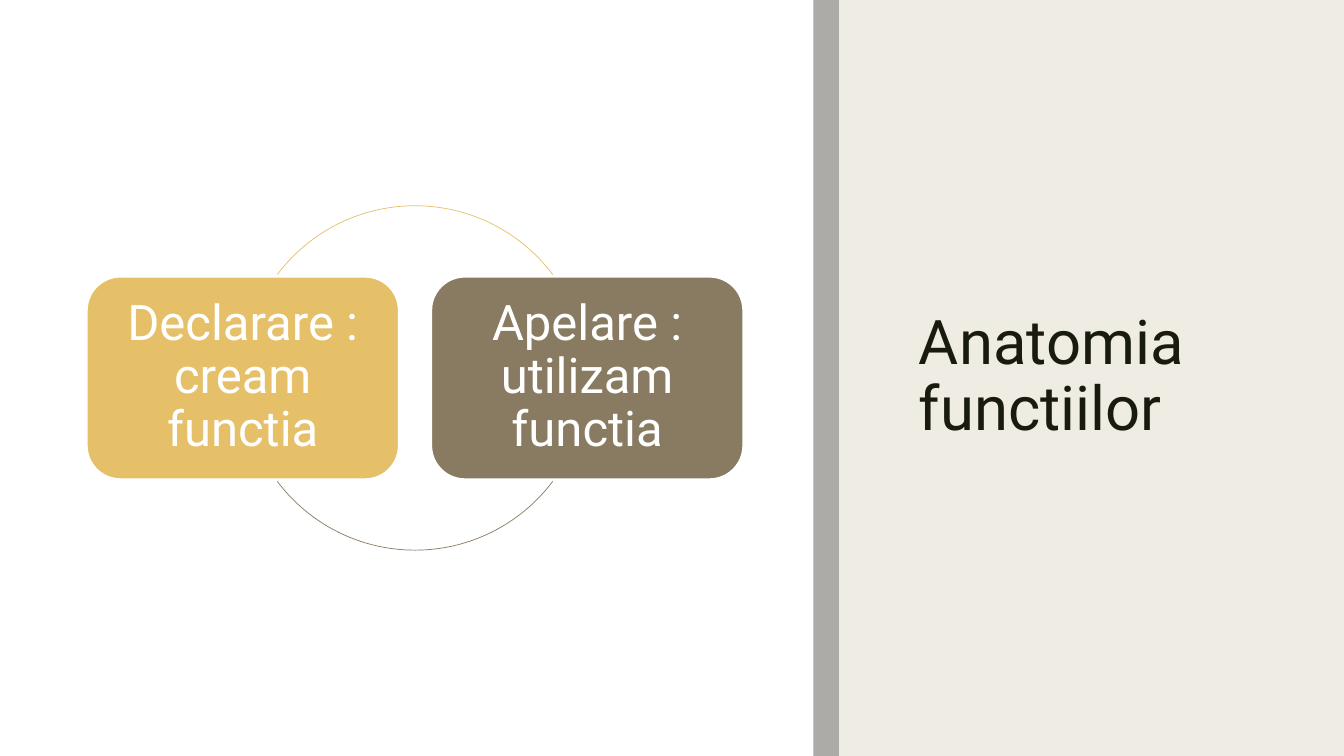
from dataclasses import dataclass

from lxml import etree
from pptx import Presentation
from pptx.dml.color import RGBColor
from pptx.enum.shapes import MSO_SHAPE
from pptx.enum.text import MSO_ANCHOR, PP_ALIGN
from pptx.oxml.ns import qn
from pptx.shapes.autoshape import Shape
from pptx.shapes.shapetree import SlideShapes
from pptx.text.text import TextFrame
from pptx.util import Cm, Pt

RECTANGLE, ROUNDED, ARC = MSO_SHAPE.RECTANGLE, MSO_SHAPE.ROUNDED_RECTANGLE, MSO_SHAPE.ARC
MIDDLE = MSO_ANCHOR.MIDDLE
LEFT, CENTER = PP_ALIGN.LEFT, PP_ALIGN.CENTER

WHITE = RGBColor(0xFF, 0xFF, 0xFF)
CREAM = RGBColor(0xEF, 0xED, 0xE3)
GRAY = RGBColor(0x80, 0x80, 0x80)
INK = RGBColor(0x19, 0x1B, 0x0E)
GOLD = RGBColor(0xE6, 0xC0, 0x69)
BROWN = RGBColor(0x89, 0x7B, 0x61)

FONT = "Roboto"
SLIDE_WIDTH, SLIDE_HEIGHT = Cm(33.87), Cm(19.05)
PANEL_WIDTH, BAND_WIDTH = Cm(20.5), Cm(0.64)

# The two steps sit on the left and right ends of the cycle's diameter.
CYCLE_X, CYCLE_Y, CYCLE_RADIUS = Cm(10.46), SLIDE_HEIGHT // 2, Cm(4.34)
STEP_WIDTH, STEP_HEIGHT = Cm(7.87), Cm(5.11)
STEP_INSET = Cm(0.38)
DEGREES_TO_ADJUSTMENT = 0.6


@dataclass(frozen=True)
class Step:
    text: str
    color: RGBColor
    side: int
    arc_start: float
    arc_end: float


STEPS = (
    Step("Declarare : cream functia", GOLD, -1, 216.9, 323.1),
    Step("Apelare : utilizam functia", BROWN, 1, 36.9, 143.1),
)


def set_values(target: object, values: dict) -> None:
    for name, value in values.items():
        setattr(target, name, value)


def write_text(frame: TextFrame, text: str, size: float, color: RGBColor,
               align: PP_ALIGN, spacing: float) -> None:
    set_values(frame, {"word_wrap": True, "vertical_anchor": MIDDLE})
    paragraph = frame.paragraphs[0]
    set_values(paragraph, {"alignment": align, "line_spacing": spacing})
    run = paragraph.add_run()
    run.text = text
    set_values(run.font, {"name": FONT, "size": Pt(size)})
    run.font.color.rgb = color


def add_filled(shapes: SlideShapes, kind: MSO_SHAPE, left: int, top: int,
               width: int, height: int, color: RGBColor) -> Shape:
    """Add a preset shape with a solid fill, no outline and no shadow."""
    shape = shapes.add_shape(kind, left, top, width, height)
    shape.shadow.inherit = False
    shape.fill.solid()
    shape.fill.fore_color.rgb = color
    shape.line.fill.background()
    return shape


def set_opacity(shape: Shape, percent: int) -> None:
    color = next(shape.fill._xPr.iter(qn("a:srgbClr")))
    etree.SubElement(color, qn("a:alpha")).set("val", str(percent * 1000))


def draw_outline(shape: Shape, color: RGBColor, width: float) -> None:
    shape.line.color.rgb = color
    shape.line.width = Pt(width)


def draw_step(shapes: SlideShapes, step: Step) -> None:
    """Draw a step box and the arc of the cycle in its colour."""
    left = CYCLE_X + step.side * CYCLE_RADIUS - STEP_WIDTH // 2
    box = add_filled(shapes, ROUNDED, left, CYCLE_Y - STEP_HEIGHT // 2,
                     STEP_WIDTH, STEP_HEIGHT, step.color)
    draw_outline(box, WHITE, 1.5)
    margins = ("margin_left", "margin_right", "margin_top", "margin_bottom")
    set_values(box.text_frame, dict.fromkeys(margins, STEP_INSET))
    write_text(box.text_frame, step.text, 35, WHITE, CENTER, 0.9)

    arc = shapes.add_shape(ARC, CYCLE_X - CYCLE_RADIUS, CYCLE_Y - CYCLE_RADIUS,
                           2 * CYCLE_RADIUS, 2 * CYCLE_RADIUS)
    arc.shadow.inherit = False
    arc.fill.background()
    draw_outline(arc, step.color, 0.5)
    for index, angle in enumerate((step.arc_start, step.arc_end)):
        arc.adjustments[index] = angle * DEGREES_TO_ADJUSTMENT


def main() -> None:
    presentation = Presentation()
    set_values(presentation, {"slide_width": SLIDE_WIDTH, "slide_height": SLIDE_HEIGHT})
    shapes = presentation.slides.add_slide(presentation.slide_layouts[6]).shapes

    add_filled(shapes, RECTANGLE, 0, 0, SLIDE_WIDTH, SLIDE_HEIGHT, CREAM)
    title = shapes.add_textbox(Cm(22.91), Cm(1.78), Cm(9.17), Cm(15.49))
    write_text(title.text_frame, "Anatomia functiilor", 44, INK, LEFT, 0.89)
    add_filled(shapes, RECTANGLE, 0, 0, PANEL_WIDTH, SLIDE_HEIGHT, WHITE)
    band = add_filled(shapes, RECTANGLE, PANEL_WIDTH, 0, BAND_WIDTH, SLIDE_HEIGHT, GRAY)
    set_opacity(band, 60)

    for step in STEPS:
        draw_step(shapes, step)

    presentation.save("out.pptx")


if __name__ == "__main__":
    main()
